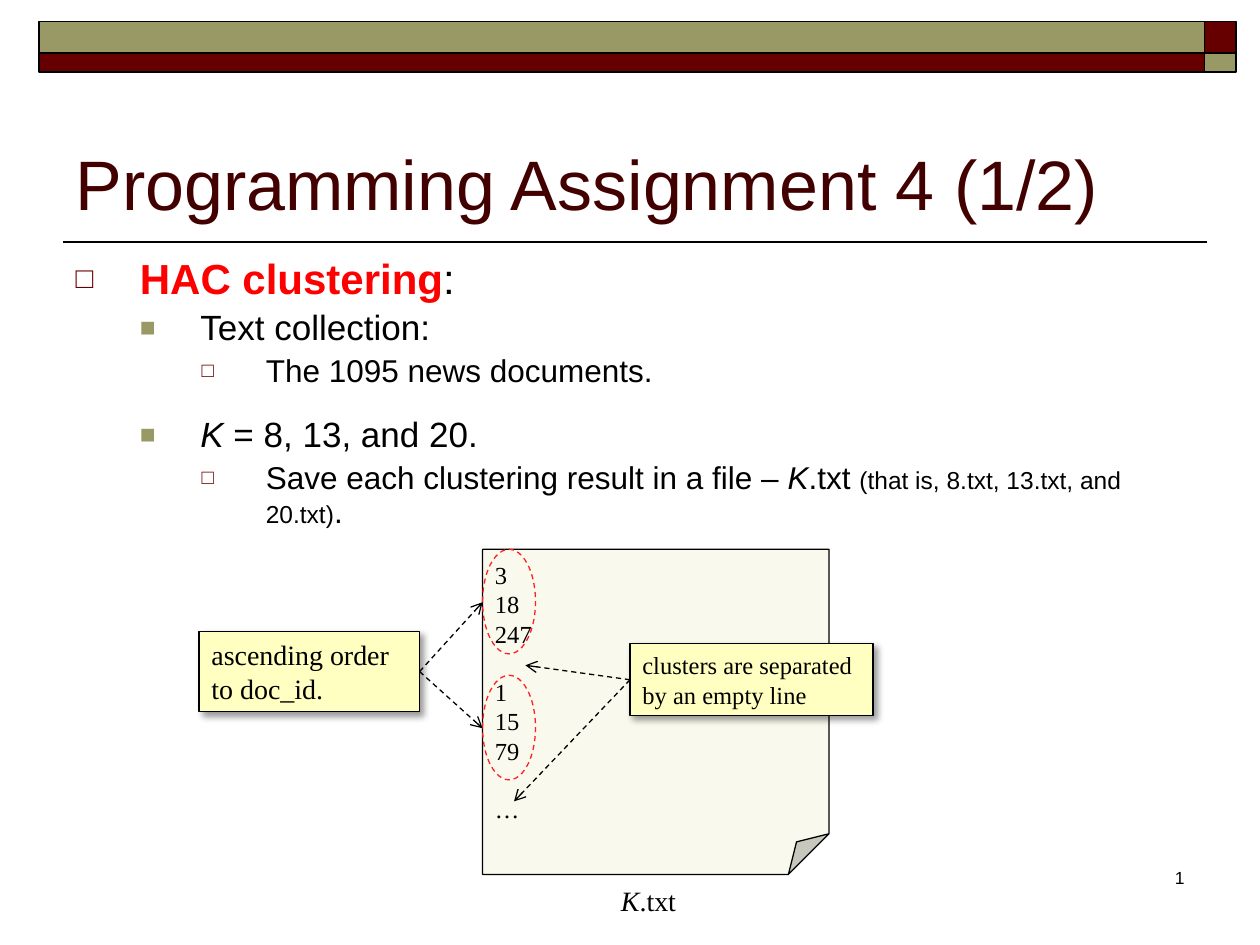
from dataclasses import dataclass

from lxml import etree
from pptx import Presentation
from pptx.dml.color import RGBColor
from pptx.enum import dml, shapes, text
from pptx.oxml import ns
from pptx.util import Inches, Pt


@dataclass(frozen=True)
class Theme:
    sans: str = "Arial"
    serif: str = "Times New Roman"
    black: str = "000000"
    maroon: str = "660000"
    olive: str = "999966"
    title: str = "420000"
    accent: str = "FF0000"
    ring: str = "FF2121"
    paper: str = "F9F9EE"
    note: str = "FFFFC2"
    title_size: int = 40
    level_sizes: tuple = (24, 20, 18)
    aside_size: int = 14
    label_size: int = 16
    file_size: int = 14
    number_size: int = 10


theme = Theme()


def style(run, size, face=theme.sans, color=theme.black, bold=False, italic=False):
    run.font.name = face
    run.font.size = Pt(size)
    run.font.color.rgb = RGBColor.from_string(color)
    run.font.bold = bold
    run.font.italic = italic


def add_xml(parent, tag, **attributes):
    return etree.SubElement(parent, ns.qn(tag), attributes)


deck = Presentation()
deck.slide_width, deck.slide_height = Inches(10), Inches(7.5)
slide = deck.slides.add_slide(deck.slide_layouts[1])
canvas = slide.shapes

rule = canvas.add_connector(shapes.MSO_CONNECTOR.STRAIGHT, Inches(0.5), Inches(1.92), Inches(9.58), Inches(1.92))
rule.line.color.rgb = RGBColor.from_string(theme.black)
rule.line.width = Pt(1)
add_xml(rule._element.spPr, "a:effectLst")

for left, top, width, height, color in (
    (9.56, 0.17, 0.25, 0.25, theme.maroon),
    (0.31, 0.17, 9.25, 0.25, theme.olive),
    (0.31, 0.42, 9.25, 0.15, theme.maroon),
    (9.56, 0.42, 0.25, 0.15, theme.olive),
):
    band = canvas.add_shape(shapes.MSO_SHAPE.RECTANGLE, Inches(left), Inches(top), Inches(width), Inches(height))
    band.shadow.inherit = False
    band.fill.solid()
    band.fill.fore_color.rgb = RGBColor.from_string(color)
    band.line.color.rgb = RGBColor.from_string(theme.black)
    band.line.width = Pt(1)

page_number = canvas.add_textbox(Inches(7.42), Inches(6.83), Inches(2.08), Inches(0.5))
page_number.text_frame.word_wrap = True
page_number.text_frame.text = "1"
page_number.text_frame.paragraphs[0].alignment = text.PP_ALIGN.RIGHT
style(page_number.text_frame.paragraphs[0].runs[0], theme.number_size)

heading = canvas.title
heading.left, heading.top, heading.width, heading.height = Inches(0.5), Inches(0.58), Inches(9), Inches(1.25)
heading.text_frame.text = "Programming Assignment 4 (1/2)"
heading.text_frame.auto_size = text.MSO_AUTO_SIZE.NONE
heading.text_frame.vertical_anchor = text.MSO_ANCHOR.BOTTOM
heading.text_frame.paragraphs[0].alignment = text.PP_ALIGN.LEFT
style(heading.text_frame.paragraphs[0].runs[0], theme.title_size, color=theme.title)

body = slide.placeholders[1]
body.left, body.top, body.width, body.height = Inches(0.5), Inches(2), Inches(9), Inches(5.17)
body.text_frame.auto_size = text.MSO_AUTO_SIZE.NONE
levels = (
    (0.51, 0.51, "□", theme.maroon, 70),
    (0.99, 0.48, "■", theme.olive, 75),
    (1.51, 0.51, "□", theme.maroon, 65),
)
aside = {"size": theme.aside_size}
italic = {"italic": True}
outline = (
    (0, 5, (("HAC clustering", {"bold": True, "color": theme.accent}), (":", {}))),
    (1, 4, (("Text collection:", {}),)),
    (2, 4, (("The 1095 news documents.", {}),)),
    (1, 16, (("K ", italic), ("= 8, 13, and 20.", {}))),
    (2, 4, (
        ("Save each clustering result in a file – ", {}),
        ("K", italic),
        (".txt ", {}),
        ("(that is, 8.txt, 13.txt, and 20.txt)", aside),
        (".", {}),
    )),
)
for index, (level, gap, parts) in enumerate(outline):
    item = body.text_frame.add_paragraph() if index else body.text_frame.paragraphs[0]
    margin, hanging, mark, mark_color, mark_percent = levels[level]
    item.level = level
    item.line_spacing = 0.9
    item.space_before = Pt(gap)
    properties = item._p.get_or_add_pPr()
    properties.set("marL", str(Inches(margin)))
    properties.set("indent", str(-Inches(hanging)))
    add_xml(add_xml(properties, "a:buClr"), "a:srgbClr", val=mark_color)
    add_xml(properties, "a:buSzPct", val=str(mark_percent * 1000))
    add_xml(properties, "a:buFont", typeface=theme.sans)
    add_xml(properties, "a:buChar", char=mark)
    for words, changes in parts:
        run = item.add_run()
        run.text = words
        style(run, **{"size": theme.level_sizes[level], **changes})

result_file = canvas.add_shape(shapes.MSO_SHAPE.FOLDED_CORNER, Inches(3.83), Inches(4.36), Inches(2.75), Inches(2.58))
fold = result_file._element.spPr.find(".//" + ns.qn("a:avLst"))
add_xml(fold, "a:gd", name="adj", fmla="val 12500")
result_file.text_frame.text = "3\n18\n247\n1\n15\n79\n…"
for index in (3, 6):
    result_file.text_frame.paragraphs[index].space_before = Pt(16.5)

file_label = canvas.add_textbox(Inches(4.83), Inches(6.96), Inches(0.66), Inches(0.37))
file_label.text_frame.word_wrap = False
for words, slanted in (("K", True), (".txt", False)):
    run = file_label.text_frame.paragraphs[0].add_run()
    run.text = words
    style(run, theme.label_size, theme.serif, italic=slanted)

for top in (4.36, 5.36):
    cluster_ring = canvas.add_shape(shapes.MSO_SHAPE.OVAL, Inches(3.83), Inches(top), Inches(0.42), Inches(0.83))
    cluster_ring.shadow.inherit = False
    cluster_ring.fill.background()
    cluster_ring.line.color.rgb = RGBColor.from_string(theme.ring)
    cluster_ring.line.width = Pt(0.75)
    cluster_ring.line.dash_style = dml.MSO_LINE.DASH

separator_note = canvas.add_shape(shapes.MSO_SHAPE.RECTANGLE, Inches(5), Inches(5.11), Inches(1.93), Inches(0.57))
separator_note.text_frame.text = "clusters are separated\nby an empty line"
order_note = canvas.add_shape(shapes.MSO_SHAPE.RECTANGLE, Inches(1.58), Inches(5.01), Inches(1.75), Inches(0.64))
order_note.text_frame.text = "ascending order\nto doc_id."

for panel, color, size in (
    (result_file, theme.paper, theme.file_size),
    (separator_note, theme.note, theme.file_size),
    (order_note, theme.note, theme.label_size),
):
    panel.shadow.inherit = False
    panel.fill.solid()
    panel.fill.fore_color.rgb = RGBColor.from_string(color)
    panel.line.color.rgb = RGBColor.from_string(theme.black)
    panel.line.width = Pt(0.75)
    panel.text_frame.word_wrap = True
    panel.text_frame.vertical_anchor = text.MSO_ANCHOR.MIDDLE
    for line in panel.text_frame.paragraphs:
        line.alignment = text.PP_ALIGN.LEFT
        style(line.runs[0], size, theme.serif)

for note in (separator_note, order_note):
    effects = note._element.spPr.find(ns.qn("a:effectLst"))
    shade = add_xml(effects, "a:outerShdw", blurRad=str(Pt(4)), dist=str(Pt(3)), dir="2700000", algn="tl", rotWithShape="0")
    add_xml(add_xml(shade, "a:srgbClr", val=theme.black), "a:alpha", val="40000")

for note, side, end_x, end_y in (
    (separator_note, 1, 4.17, 5.28),
    (separator_note, 1, 4.08, 6.36),
    (order_note, 3, 3.83, 4.78),
    (order_note, 3, 3.83, 5.78),
):
    pointer = canvas.add_connector(shapes.MSO_CONNECTOR.STRAIGHT, note.left, note.top, Inches(end_x), Inches(end_y))
    pointer.begin_connect(note, side)
    pointer.line.color.rgb = RGBColor.from_string(theme.black)
    pointer.line.width = Pt(0.75)
    pointer.line.dash_style = dml.MSO_LINE.DASH
    add_xml(pointer._element.spPr.find(ns.qn("a:ln")), "a:tailEnd", type="arrow")
    add_xml(pointer._element.spPr, "a:effectLst")

deck.save("out.pptx")
